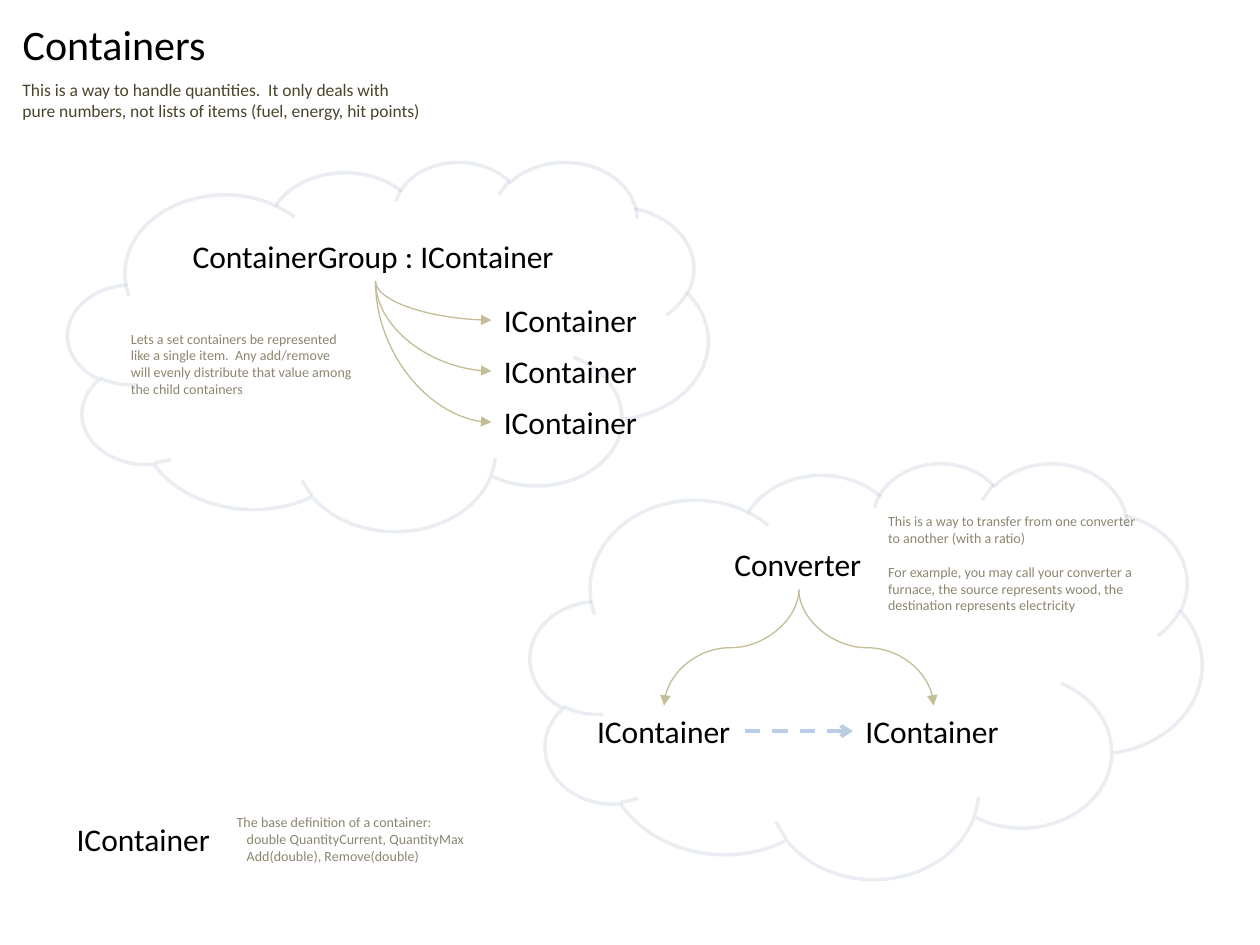
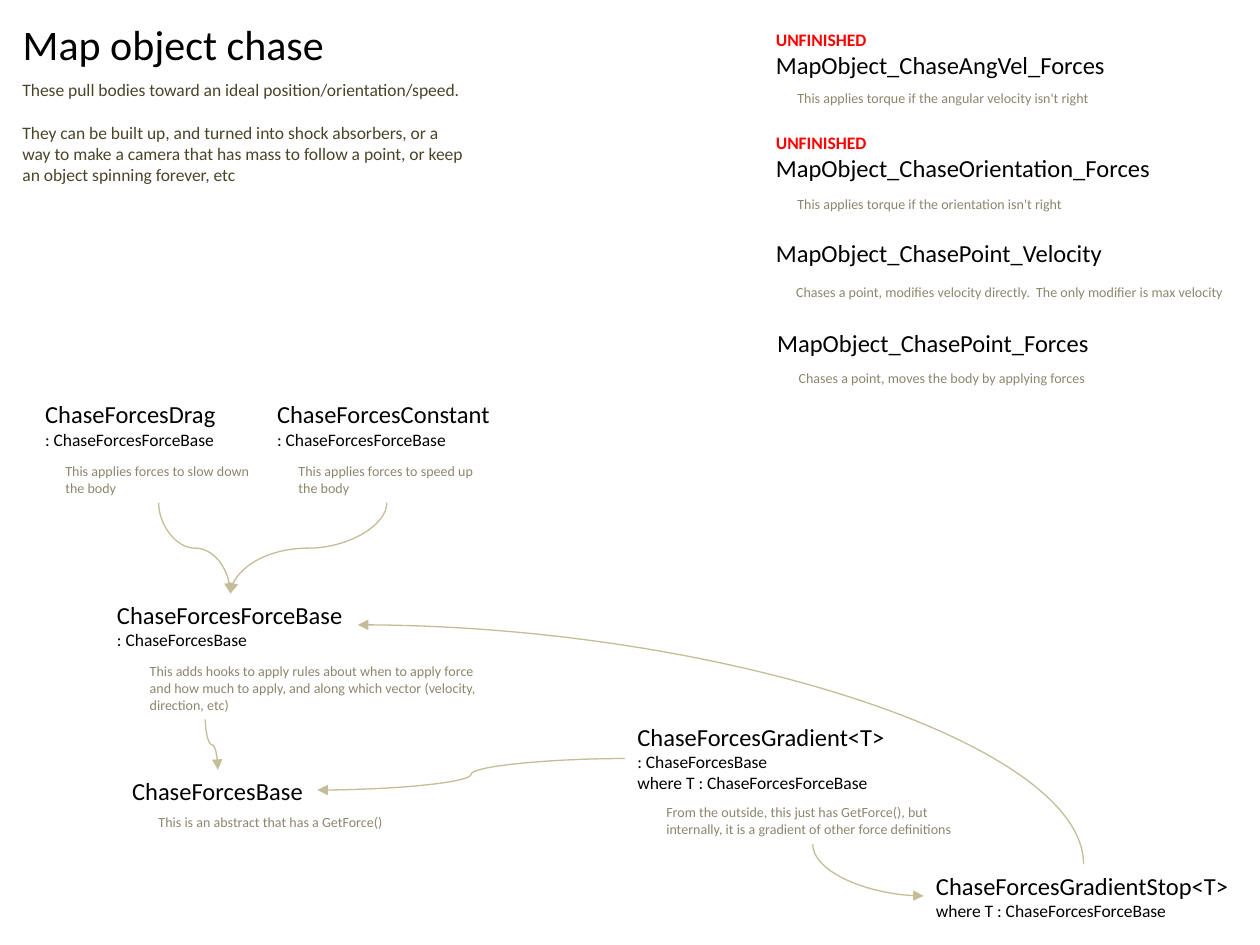
from dataclasses import dataclass

from lxml.etree import SubElement
from pptx import Presentation
from pptx.dml.color import RGBColor
from pptx.enum.dml import MSO_LINE
from pptx.enum.shapes import MSO_CONNECTOR as CONNECTOR, MSO_SHAPE as SHAPE
from pptx.enum.text import MSO_ANCHOR as ANCHOR, MSO_AUTO_SIZE as AUTO_SIZE, PP_ALIGN as ALIGN
from pptx.oxml.ns import qn
from pptx.shapes.autoshape import Shape
from pptx.shapes.connector import Connector
from pptx.slide import Slide
from pptx.util import Inches, Pt

Point = tuple[float, float]


@dataclass(frozen=True)
class Style:
    size: float
    color: str
    bold: bool = False


@dataclass(frozen=True)
class Theme:
    font: str = "Calibri"
    line_height: float = 1.22
    title: Style = Style(24, "000000")
    intro: Style = Style(10, "4A452A")
    concept: Style = Style(18, "000000")
    class_name: Style = Style(14, "000000")
    base_class: Style = Style(10, "000000")
    flag: Style = Style(10, "FF0000", True)
    note: Style = Style(8, "8C866E")
    arrow: str = "C4BD97"
    transfer: str = "B9CDE5"
    cloud: str = "385D8A"


THEME = Theme()


@dataclass(frozen=True)
class Line:
    text: str
    style: Style
    gap: bool = False       # one empty line's height above
    indent: float = 0       # inches


@dataclass(frozen=True)
class Label:
    left: float
    top: float
    width: float
    lines: list[Line]


@dataclass(frozen=True)
class Curve:
    start: Point
    end: Point
    preset: str             # curvedConnector2 is a quarter turn, 3 an S-bend


def styled(style: Style, *texts: str) -> list[Line]:
    return [Line(text, style) for text in texts]


def note(*texts: str) -> list[Line]:
    return styled(THEME.note, *texts)


def class_lines(name: str, *bases: str, unfinished: bool = False) -> list[Line]:
    flag = styled(THEME.flag, "UNFINISHED") if unfinished else []
    return flag + styled(THEME.class_name, name) + styled(THEME.base_class, *bases)


def turn(start: Point, end: Point) -> Curve:
    return Curve(start, end, "curvedConnector2")


def bend(start: Point, end: Point) -> Curve:
    return Curve(start, end, "curvedConnector3")


# Drawing
def place_text(box: Shape, label: Label) -> Shape:
    """Size a box to its lines and fill it, run by run."""
    points = sum(line.style.size * (2 if line.gap else 1) for line in label.lines)
    box.left, box.top, box.width = Inches(label.left), Inches(label.top), Inches(label.width)
    box.height = Inches(0.1) + Pt(points * THEME.line_height)
    frame = box.text_frame
    frame.word_wrap = False
    frame.auto_size = AUTO_SIZE.SHAPE_TO_FIT_TEXT
    frame.vertical_anchor = ANCHOR.TOP
    for index, line in enumerate(label.lines):
        paragraph = frame.add_paragraph() if index else frame.paragraphs[0]
        paragraph.alignment = ALIGN.LEFT
        if line.gap:
            paragraph.space_before = Pt(line.style.size * THEME.line_height)
        if line.indent:
            paragraph._p.get_or_add_pPr().set("marL", str(Inches(line.indent)))
        run = paragraph.add_run()
        run.text = line.text
        run.font.name = THEME.font
        run.font.size = Pt(line.style.size)
        run.font.bold = line.style.bold
        run.font.color.rgb = RGBColor.from_string(line.style.color)
    return box


def add_label(slide: Slide, label: Label) -> Shape:
    return place_text(slide.shapes.add_textbox(0, 0, 0, 0), label)


def add_header(slide: Slide, title: str, title_width: float, intro: Label) -> None:
    place_text(slide.shapes.title, Label(0.08, 0.1, title_width, styled(THEME.title, title)))
    add_label(slide, intro)


def finish_arrow(arrow: Connector, color: str, weight: float, head: str) -> None:
    arrow.line.color.rgb = RGBColor.from_string(color)
    arrow.line.width = Pt(weight)
    SubElement(arrow.line._get_or_add_ln(), qn("a:tailEnd"), type=head)
    SubElement(arrow._element.spPr, qn("a:effectLst"))


def add_side_curve(slide: Slide, start: Point, end: Point) -> None:
    """An S-bend that leaves its start sideways."""
    ends = [Inches(value) for value in (*start, *end)]
    finish_arrow(slide.shapes.add_connector(CONNECTOR.CURVE, *ends), THEME.arrow, 0.75, "triangle")


def add_curve(slide: Slide, curve: Curve) -> None:
    """A curve that leaves its start vertically: a sideways one, rotated about its middle."""
    (x1, y1), (x2, y2) = curve.start, curve.end
    dx, dy = x2 - x1, y2 - y1
    mid_x, mid_y = (x1 + x2) / 2, (y1 + y2) / 2
    half_w, half_h = abs(dy) / 2, abs(dx) / 2
    corners = (mid_x - half_w, mid_y - half_h, mid_x + half_w, mid_y + half_h)
    arrow = slide.shapes.add_connector(CONNECTOR.CURVE, *(Inches(c) for c in corners))
    properties = arrow._element.spPr
    xfrm = properties.find(qn("a:xfrm"))
    xfrm.set("rot", str((90 if dy > 0 else 270) * 60000))
    if dx * dy > 0:
        xfrm.set("flipV", "1")
    properties.find(qn("a:prstGeom")).set("prst", curve.preset)
    finish_arrow(arrow, THEME.arrow, 0.75, "triangle")


def add_cloud(slide: Slide, left: float, top: float, width: float, height: float) -> None:
    cloud = slide.shapes.add_shape(
        SHAPE.CLOUD, Inches(left), Inches(top), Inches(width), Inches(height))
    cloud.shadow.inherit = False
    cloud.fill.background()
    cloud.line.color.rgb = RGBColor.from_string(THEME.cloud)
    cloud.line.width = Pt(2)
    color = cloud.line._get_or_add_ln().find(".//" + qn("a:srgbClr"))
    SubElement(color, qn("a:alpha"), val="10000")


# Slides
def build_containers(slide: Slide) -> None:
    def container(left: float, top: float) -> Shape:
        return add_label(slide, Label(left, top, 1.27, styled(THEME.concept, "IContainer")))

    add_header(slide, "Containers", 1.67, Label(0.08, 0.58, 3.41, styled(
        THEME.intro,
        "This is a way to handle quantities.  It only deals with",
        "pure numbers, not lists of items (fuel, energy, hit points)")))

    # Base definition
    add_label(slide, Label(1.78, 6.41, 2.02, [
        Line("The base definition of a container:", THEME.note),
        Line("double QuantityCurrent, QuantityMax", THEME.note, indent=0.08),
        Line("Add(double), Remove(double)", THEME.note, indent=0.08)]))
    container(0.51, 6.46)

    # Group and its children
    add_label(slide, Label(1.43, 1.83, 3.1, styled(THEME.concept, "ContainerGroup : IContainer")))
    for child in range(3):
        child_top = 2.34 + child * 0.405
        container(3.9, child_top)
        add_curve(slide, turn((2.98, 2.23), (3.9, child_top + 0.2)))
    add_label(slide, Label(0.94, 2.57, 1.98, note(
        "Lets a set containers be represented",
        "like a single item.  Any add/remove",
        "will evenly distribute that value among",
        "the child containers")))
    add_cloud(slide, 0.54, 1.28, 5.08, 2.93)

    # Converter from source to destination
    add_label(slide, Label(6.95, 4.02, 2.19, [
        *note("This is a way to transfer from one converter", "to another (with a ratio)"),
        Line("For example, you may call your converter a", THEME.note, gap=True),
        *note("furnace, the source represents wood, the", "destination represents electricity")]))
    add_label(slide, Label(5.73, 4.28, 1.22, styled(THEME.concept, "Converter")))
    source, destination = container(4.64, 5.6), container(6.77, 5.6)
    for end_x in (5.27, 7.41):
        add_curve(slide, bend((6.34, 4.68), (end_x, 5.6)))
    transfer = slide.shapes.add_connector(
        CONNECTOR.STRAIGHT, Inches(5.91), Inches(5.8), Inches(6.77), Inches(5.8))
    transfer.begin_connect(source, 3)
    transfer.end_connect(destination, 1)
    transfer.line.dash_style = MSO_LINE.DASH
    finish_arrow(transfer, THEME.transfer, 2.25, "arrow")
    add_cloud(slide, 4.21, 3.67, 5.33, 3.3)


CHASE_LABELS = [
    # Map object classes
    Label(6.06, 1.84, 2.82, class_lines("MapObject_ChasePoint_Velocity")),
    Label(6.22, 2.2, 3.61, note(
        "Chases a point, modifies velocity directly.  The only modifier is max velocity")),
    Label(6.07, 2.55, 2.7, class_lines("MapObject_ChasePoint_Forces")),
    Label(6.24, 2.88, 2.53, note("Chases a point, moves the body by applying forces")),
    Label(6.06, 0.18, 2.84, class_lines("MapObject_ChaseAngVel_Forces", unfinished=True)),
    Label(6.23, 0.66, 2.53, note("This applies torque if the angular velocity isn't right")),
    Label(6.06, 1, 3.2, class_lines("MapObject_ChaseOrientation_Forces", unfinished=True)),
    Label(6.23, 1.5, 2.33, note("This applies torque if the orientation isn't right")),
    # Gradient
    Label(7.33, 6.86, 2.55, class_lines(
        "ChaseForcesGradientStop<T>", "where T : ChaseForcesForceBase")),
    Label(4.96, 5.68, 2.19, class_lines(
        "ChaseForcesGradient<T>", ": ChaseForcesBase", "where T : ChaseForcesForceBase")),
    Label(5.19, 6.33, 2.5, note(
        "From the outside, this just has GetForce(), but",
        "internally, it is a gradient of other force definitions")),
    # Base classes
    Label(0.95, 6.11, 1.57, class_lines("ChaseForcesBase")),
    Label(1.16, 6.41, 2, note("This is an abstract that has a GetForce()")),
    Label(0.83, 4.71, 2.01, class_lines("ChaseForcesForceBase", ": ChaseForcesBase")),
    Label(1.09, 5.21, 2.83, note(
        "This adds hooks to apply rules about when to apply force",
        "and how much to apply, and along which vector (velocity,",
        "direction, etc)")),
    # Drag and constant forces
    Label(0.26, 3.12, 1.57, class_lines("ChaseForcesDrag", ": ChaseForcesForceBase")),
    Label(0.42, 3.62, 1.68, note("This applies forces to slow down", "the body")),
    Label(2.1, 3.12, 1.91, class_lines("ChaseForcesConstant", ": ChaseForcesForceBase")),
    Label(2.27, 3.62, 1.61, note("This applies forces to speed up", "the body")),
]

CHASE_CURVES = [
    turn((6.45, 6.7), (7.33, 7.11)),    # gradient to its stops
    turn((8.6, 6.86), (2.84, 4.96)),    # stop to force base
    bend((1.26, 3.99), (1.83, 4.71)),   # drag to force base
    bend((3.07, 3.99), (1.83, 4.71)),   # constant to force base
    bend((1.63, 5.71), (1.73, 6.11)),   # force base to base
]


def build_chase(slide: Slide) -> None:
    add_header(slide, "Map object chase", 2.62, Label(0.08, 0.58, 3.76, [
        Line("These pull bodies toward an ideal position/orientation/speed.", THEME.intro),
        Line("They can be built up, and turned into shock absorbers, or a", THEME.intro, gap=True),
        *styled(THEME.intro,
                "way to make a camera that has mass to follow a point, or keep",
                "an object spinning forever, etc")]))
    for label in CHASE_LABELS:
        add_label(slide, label)
    for curve in CHASE_CURVES:
        add_curve(slide, curve)
    add_side_curve(slide, (4.96, 6.02), (2.52, 6.27))


def main() -> None:
    deck = Presentation()
    deck.slide_width, deck.slide_height = Inches(10), Inches(7.5)
    title_only = deck.slide_layouts[5]
    for build in (build_containers, build_chase):
        build(deck.slides.add_slide(title_only))
    deck.save("out.pptx")


if __name__ == "__main__":
    main()
